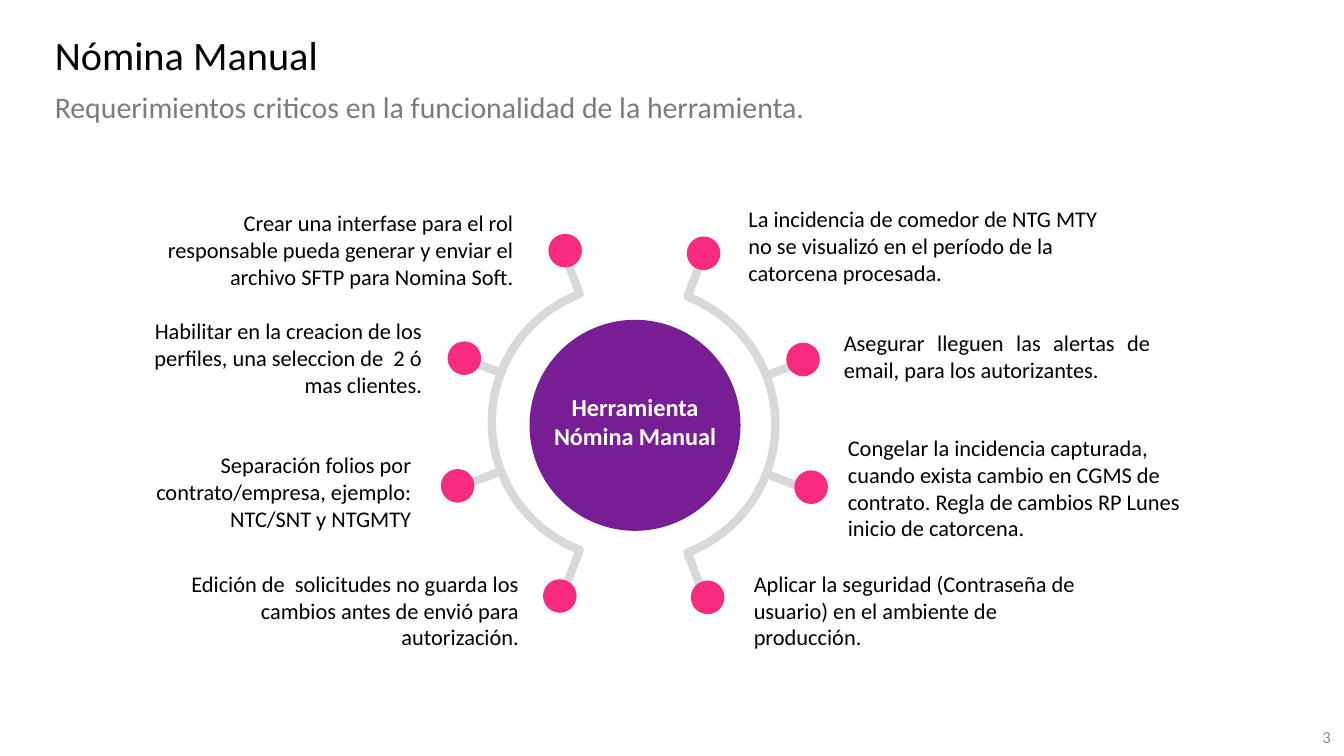
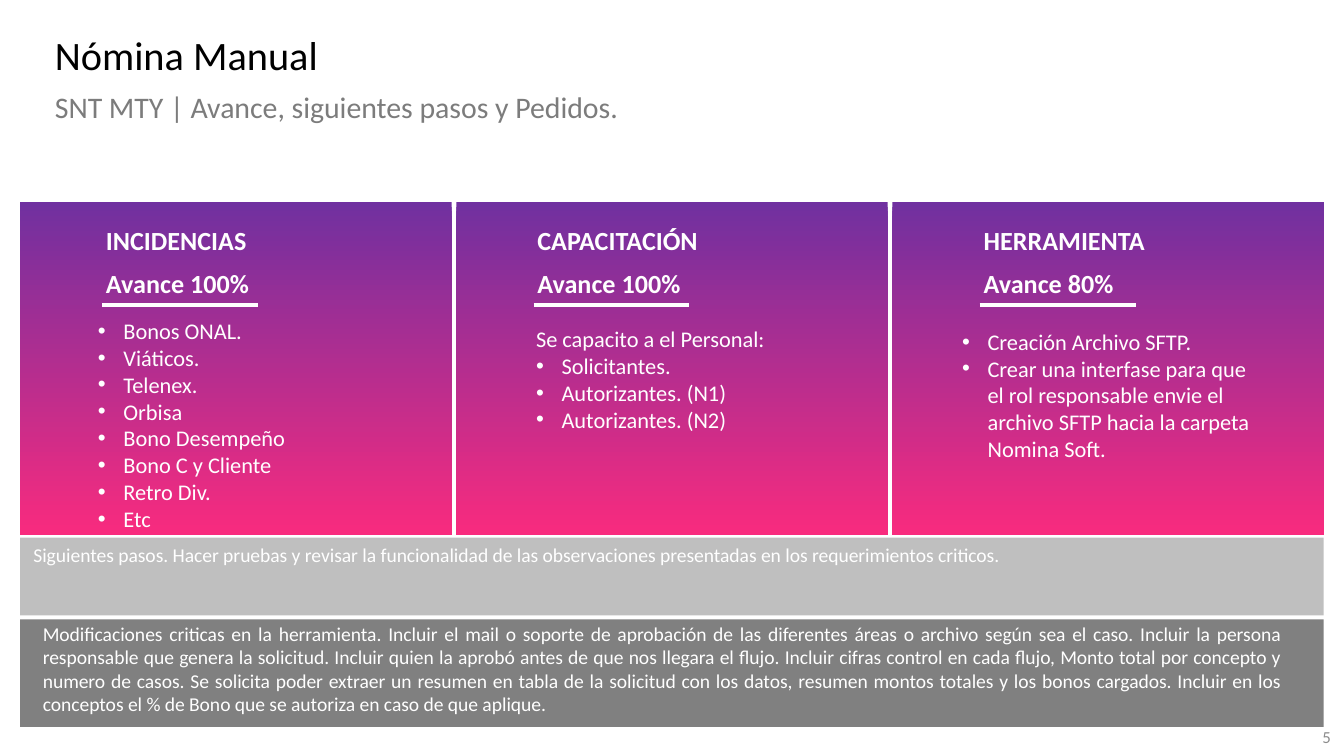
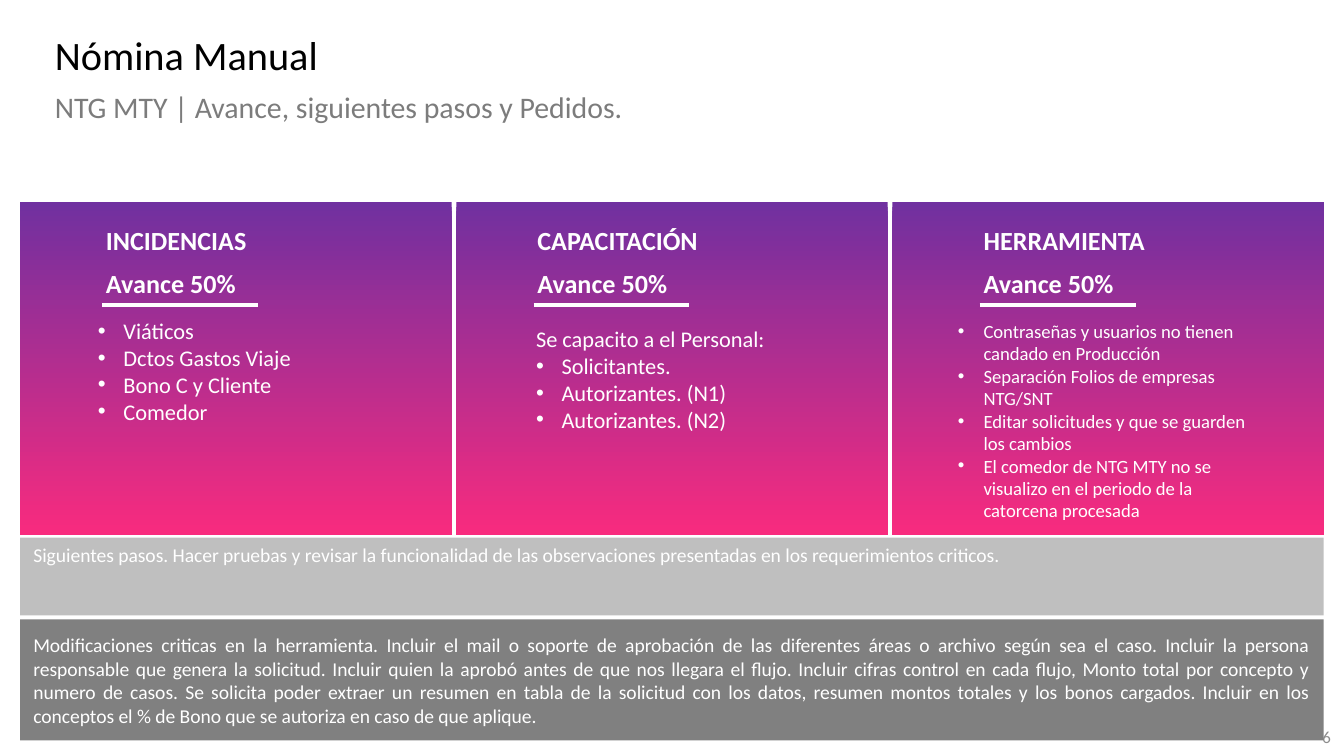
from math import cos, radians, sin

from lxml.etree import SubElement
from pptx import Presentation
from pptx.dml.color import RGBColor
from pptx.enum.shapes import MSO_CONNECTOR, MSO_SHAPE
from pptx.enum.text import MSO_ANCHOR, PP_ALIGN
from pptx.oxml.ns import qn
from pptx.util import Inches, Pt

FONT = "Calibri"
BLACK, WHITE = "000000", "FFFFFF"
PURPLE, VIOLET, PINK = "771E95", "7030A0", "F82B7E"
SUBTITLE_GRAY, NUMBER_GRAY, RING_GRAY = "7C7C7C", "8C8C8C", "D9D9D9"
LIGHT_BAND, DARK_BAND = "BFBFBF", "808080"
BULLET = "• "


def write(shape, lines, size, color, bold=False, anchor=MSO_ANCHOR.TOP, **paragraph_format):
    """Fill the shape with one paragraph per line; lines that start with BULLET become list items."""
    frame = shape.text_frame
    frame.word_wrap = True
    frame.vertical_anchor = anchor
    for index, line in enumerate(lines):
        paragraph = frame.add_paragraph() if index else frame.paragraphs[0]
        run = paragraph.add_run()
        run.text = line.removeprefix(BULLET)
        for name, value in {"name": FONT, "size": Pt(size), "bold": bold}.items():
            setattr(run.font, name, value)
        run.font.color.rgb = RGBColor.from_string(color)
        for name, value in {"alignment": PP_ALIGN.LEFT, **paragraph_format}.items():
            setattr(paragraph, name, value)
        if line.startswith(BULLET):
            properties = paragraph._p.get_or_add_pPr()
            properties.set("marL", str(Inches(0.19)))
            properties.set("indent", str(-Inches(0.19)))
            SubElement(properties, qn("a:buFont"), typeface="Arial")
            SubElement(properties, qn("a:buChar"), char=BULLET.strip())


def add_filled(slide, kind, box, *colors):
    """Add a borderless shape; two colors give a gradient from top to bottom."""
    shape = slide.shapes.add_shape(kind, *map(Inches, box))
    shape.shadow.inherit = False
    shape.line.fill.background()
    if len(colors) == 1:
        shape.fill.solid()
        shape.fill.fore_color.rgb = RGBColor.from_string(colors[0])
    else:
        shape.fill.gradient()
        shape.fill.gradient_angle = 270
        for stop, color in zip(shape.fill.gradient_stops, colors):
            stop.color.rgb = RGBColor.from_string(color)
    return shape


presentation = Presentation()
presentation.slide_width = Inches(10)
presentation.slide_height = Inches(10) * 9 // 16

# Title, subtitle and number of every slide
headers = [
    ("3", 7.54, "Requerimientos criticos en la funcionalidad de la herramienta."),
    ("5", 5.51, "SNT MTY | Avance, siguientes pasos y Pedidos."),
    ("6", 5.51, "NTG MTY | Avance, siguientes pasos y Pedidos."),
]
for number, subtitle_width, subtitle in headers:
    slide = presentation.slides.add_slide(presentation.slide_layouts[6])
    header_texts = [
        ((7.75, 5.33, 2.25, 0.3), number, 9, NUMBER_GRAY, {"alignment": PP_ALIGN.RIGHT}),
        ((0.31, 0.22, 5.51, 0.41), "Nómina Manual", 21.6, BLACK, {"line_spacing": 0.9}),
        ((0.31, 0.64, subtitle_width, 0.34), subtitle, 16, SUBTITLE_GRAY,
         {"line_spacing": 0.9, "space_before": Pt(7.5)}),
    ]
    for box, text, size, color, paragraph_format in header_texts:
        textbox = slide.shapes.add_textbox(*map(Inches, box))
        write(textbox, [text], size, color, anchor=MSO_ANCHOR.MIDDLE, **paragraph_format)

requirements_slide, *progress_slides = presentation.slides

# Requirements: two mirrored arcs with radial spokes around the hub
add_filled(requirements_slide, MSO_SHAPE.OVAL, (3.94, 2.38, 1.57, 1.57), PURPLE)
RING_RADIUS, SPOKE_RADIUS = 1.02, 1.3
arc = [(RING_RADIUS, angle) for angle in range(-69, 70, 3)]
ring_paths = [
    [(SPOKE_RADIUS, -69), *arc, (SPOKE_RADIUS, 69)],
    [(RING_RADIUS, -21), (SPOKE_RADIUS, -21)],
    [(RING_RADIUS, 21), (SPOKE_RADIUS, 21)],
]
for center_x, center_y, side in [(4.75, 3.16, 1), (4.68, 3.14, -1)]:
    for ring_path in ring_paths:
        points = [
            (Inches(center_x + side * radius * cos(radians(angle))),
             Inches(center_y + radius * sin(radians(angle))))
            for radius, angle in ring_path
        ]
        builder = requirements_slide.shapes.build_freeform(*points[0])
        builder.add_line_segments(points[1:], close=False)
        shape = builder.convert_to_shape()
        shape.shadow.inherit = False
        shape.fill.background()
        shape.line.color.rgb = RGBColor.from_string(RING_GRAY)
        shape.line.width = Pt(4.5)
        outline = shape.element.spPr.find(qn("a:ln"))
        outline.set("cap", "rnd")
        SubElement(outline, qn("a:round"))

# Dot position, text box, alignment, text
requirements = [
    ((5.11, 1.76), (5.47, 1.48, 2.91, 0.71), PP_ALIGN.LEFT,
     "La incidencia de comedor de NTG MTY no se visualizó en el período de la catorcena procesada."),
    ((5.85, 2.55), (6.18, 2.4, 2.48, 0.5), PP_ALIGN.JUSTIFY,
     "Asegurar lleguen las alertas de email, para los autorizantes."),
    ((5.91, 3.5), (6.21, 3.18, 2.89, 0.91), PP_ALIGN.LEFT,
     "Congelar la incidencia capturada, cuando exista cambio en CGMS de contrato. "
     "Regla de cambios RP Lunes inicio de catorcena."),
    ((5.14, 4.32), (5.51, 4.19, 2.81, 0.71), PP_ALIGN.LEFT,
     "Aplicar la seguridad (Contraseña de usuario) en el ambiente de producción."),
    ((4.08, 1.74), (1.12, 1.51, 2.8, 0.71), PP_ALIGN.RIGHT,
     "Crear una interfase para el rol responsable pueda generar y enviar el archivo SFTP "
     "para Nomina Soft."),
    ((3.33, 2.54), (0.76, 2.31, 2.48, 0.71), PP_ALIGN.RIGHT,
     "Habilitar en la creacion de los perfiles, una seleccion de  2 ó mas clientes."),
    ((3.28, 3.49), (0.96, 3.31, 2.2, 0.71), PP_ALIGN.RIGHT,
     "Separación folios por contrato/empresa, ejemplo: NTC/SNT y NTGMTY"),
    ((4.04, 4.31), (1.04, 4.19, 2.92, 0.71), PP_ALIGN.RIGHT,
     "Edición de  solicitudes no guarda los cambios antes de envió para autorización."),
]
for dot, box, alignment, text in requirements:
    add_filled(requirements_slide, MSO_SHAPE.OVAL, (*dot, 0.25, 0.25), PINK)
    textbox = requirements_slide.shapes.add_textbox(*map(Inches, box))
    write(textbox, [text], 12, BLACK, alignment=alignment)
hub_label = requirements_slide.shapes.add_textbox(*map(Inches, (3.91, 2.87, 1.63, 0.76)))
write(hub_label, ["Herramienta Nómina Manual"], 13, WHITE, bold=True, alignment=PP_ALIGN.CENTER)

# Progress: three gradient cards above two bands
next_steps = ("Siguientes pasos. Hacer pruebas y revisar la funcionalidad de las observaciones "
              "presentadas en los requerimientos criticos.")
changes = (
    "Modificaciones criticas en la herramienta. Incluir el mail o soporte de aprobación de las "
    "diferentes áreas o archivo según sea el caso. Incluir la persona responsable que genera la "
    "solicitud. Incluir quien la aprobó antes de que nos llegara el flujo. Incluir cifras control "
    "en cada flujo, Monto total por concepto y numero de casos. Se solicita poder extraer un "
    "resumen en tabla de la solicitud con los datos, resumen montos totales y los bonos cargados. "
    "Incluir en los conceptos el % de Bono que se autoriza en caso de que aplique."
)
training = ((3.89, 2.37, 1.94, 0.91), 12,
            ["Se capacito a el Personal:", "• Solicitantes.", "• Autorizantes. (N1)",
             "• Autorizantes. (N2)"])
card_headings = [("INCIDENCIAS", 0.69), ("CAPACITACIÓN", 3.9), ("HERRAMIENTA", 7.22)]

# Per slide: dark band height, then progress and list (box, size, lines) of each card
progress = [
    (0.8, [
        ("100%", ((0.63, 2.31, 2.07, 1.92), 12,
                  ["• Bonos ONAL.", "• Viáticos.", "• Telenex.", "• Orbisa", "• Bono Desempeño",
                   "• Bono C y Cliente", "• Retro Div.", "• Etc"])),
        ("100%", training),
        ("80%", ((7.06, 2.39, 2.37, 1.51), 12,
                 ["• Creación Archivo SFTP.",
                  "• Crear una interfase para que el rol responsable envie el archivo SFTP "
                  "hacia la carpeta Nomina Soft."])),
    ]),
    (0.9, [
        ("50%", ((0.63, 2.31, 2.07, 1.31), 12,
                 ["• Viáticos", "• Dctos Gastos Viaje", "• Bono C y Cliente", "• Comedor"])),
        ("50%", training),
        ("50%", ((7.03, 2.33, 2.37, 1.62), 10,
                 ["• Contraseñas y usuarios no tienen candado en Producción",
                  "• Separación Folios de empresas NTG/SNT",
                  "• Editar solicitudes y que se guarden los cambios",
                  "• El comedor de NTG MTY no se visualizo en el periodo de la catorcena "
                  "procesada"])),
    ]),
]
for slide, (dark_height, cards) in zip(progress_slides, progress):
    for index, ((heading, left), (percent, (box, size, lines))) in enumerate(zip(card_headings, cards)):
        card_box = (0.15 + index * 3.245, 1.5, 3.21, 2.48)
        add_filled(slide, MSO_SHAPE.RECTANGLE, card_box, VIOLET, PINK)
        heading_box = slide.shapes.add_textbox(*map(Inches, (left, 1.62, 1.44, 0.66)))
        write(heading_box, [heading, f"Avance {percent}"], 14, WHITE, bold=True, space_after=Pt(6))
        underline = slide.shapes.add_connector(
            MSO_CONNECTOR.STRAIGHT, *map(Inches, (left + 0.07, 2.27, left + 1.23, 2.27)))
        underline.line.color.rgb = RGBColor.from_string(WHITE)
        underline.line.width = Pt(2.25)
        SubElement(underline.element.spPr, qn("a:effectLst"))
        write(slide.shapes.add_textbox(*map(Inches, box)), lines, size, WHITE)

    add_filled(slide, MSO_SHAPE.RECTANGLE, (0.15, 4, 9.7, 0.58), LIGHT_BAND)
    dark_band = add_filled(slide, MSO_SHAPE.RECTANGLE, (0.15, 4.61, 9.7, dark_height), DARK_BAND)
    next_steps_box = slide.shapes.add_textbox(*map(Inches, (0.15, 3.99, 9.7, 0.28)))
    write(next_steps_box, [next_steps], 10.5, WHITE)
    if slide is progress_slides[0]:
        changes_box = slide.shapes.add_textbox(*map(Inches, (0.22, 4.57, 9.42, 0.81)))
    else:
        changes_box = dark_band
    write(changes_box, [changes], 10.5, WHITE, anchor=MSO_ANCHOR.MIDDLE, alignment=PP_ALIGN.JUSTIFY)

presentation.save("out.pptx")
